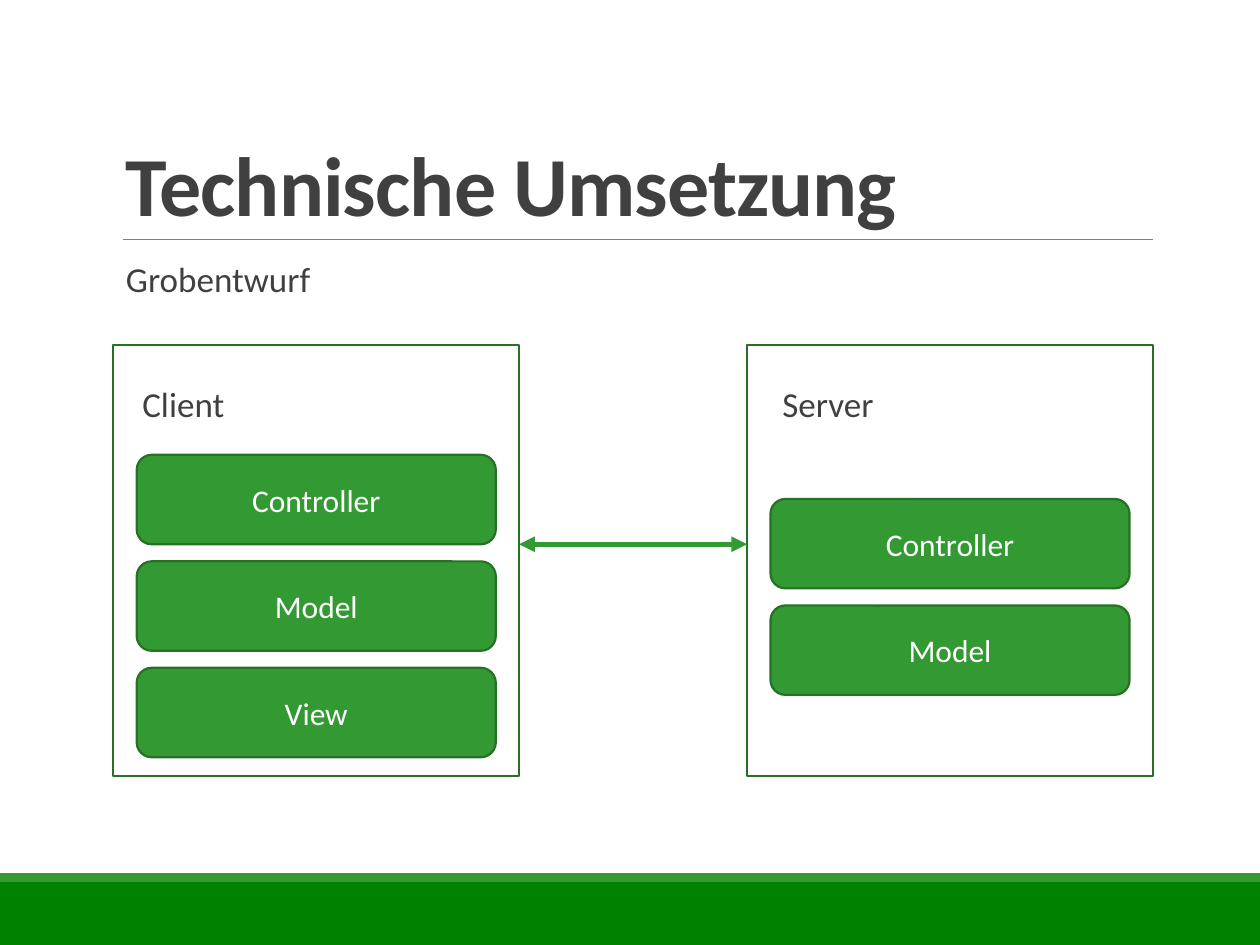
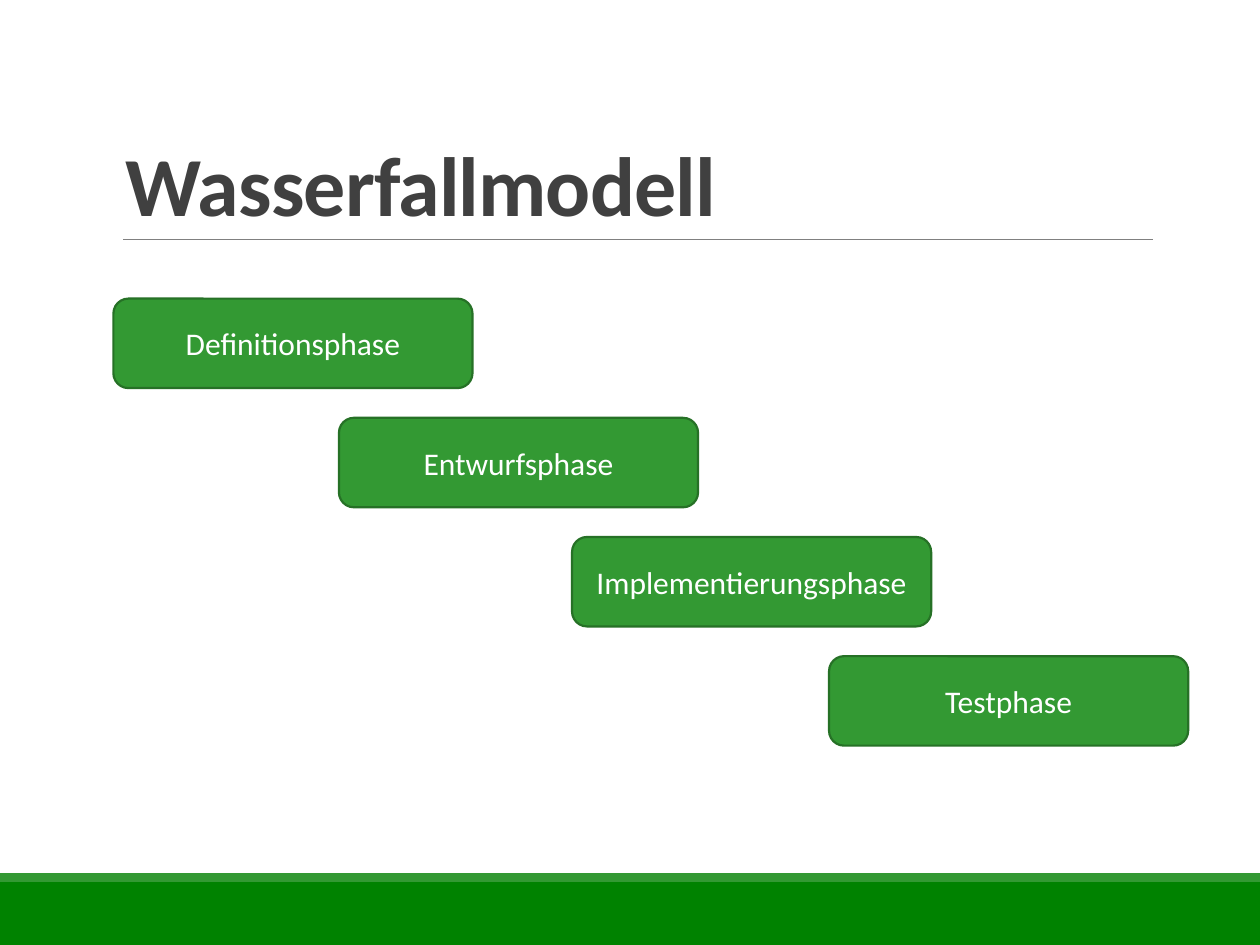
from lxml.etree import SubElement
from pptx import Presentation
from pptx.dml.color import RGBColor
from pptx.enum.shapes import MSO_CONNECTOR, MSO_SHAPE
from pptx.enum.text import MSO_ANCHOR, PP_ALIGN
from pptx.oxml.ns import qn
from pptx.util import Inches, Pt

WIDE, HIGH = Inches(10), Inches(7.5)
COL, ROW = WIDE / 100, HIGH / 75
FONT = "Calibri"
GREEN, DEEP, EDGE = "339933", "008200", "267126"
DARK, GRAY, WHITE = "404040", "808080", "FFFFFF"
LEFT, RIGHT, RULE = 9, 91.5, 19
CARD_W, CARD_H = 28.5, 7.1
BOX_W, BOX_H, BOX_TOP = 32.2, 34.2, 27.4


def color(code):
    return RGBColor.from_string(code)


def place(left, top, wide, high):
    return round(left * COL), round(top * ROW), round(wide * COL), round(high * ROW)


def style(para, size, code, bold=False):
    for run in para.runs:
        font = run.font
        font.name, font.size, font.bold = FONT, Pt(size), bold
        font.color.rgb = color(code)


def add_box(slide, kind, area, fill=None, edge=None):
    box = slide.shapes.add_shape(kind, *place(*area))
    box.shadow.inherit = False
    if fill:
        box.fill.solid()
        box.fill.fore_color.rgb = color(fill)
    else:
        box.fill.background()
    if edge:
        box.line.color.rgb = color(edge)
        box.line.width = Pt(1.25)
    else:
        box.line.fill.background()
    return box


def add_card(slide, left, top, text):
    area = left, top, CARD_W, CARD_H
    card = add_box(slide, MSO_SHAPE.ROUNDED_RECTANGLE, area, GREEN, EDGE)
    frame = card.text_frame
    frame.text = text
    frame.vertical_anchor = MSO_ANCHOR.MIDDLE
    para = frame.paragraphs[0]
    para.alignment = PP_ALIGN.CENTER
    style(para, 18, WHITE)


def add_line(slide, start, end, code, width, heads=False):
    ends = place(*start, *end)
    line = slide.shapes.add_connector(MSO_CONNECTOR.STRAIGHT, *ends)
    line.line.color.rgb = color(code)
    line.line.width = Pt(width)
    if heads:
        stroke = line.line._get_or_add_ln()
        for tag in ("a:headEnd", "a:tailEnd"):
            SubElement(stroke, qn(tag), type="triangle")
    SubElement(line._element.spPr, qn("a:effectLst"))


def add_text(slide, area, text, size, anchor, bold=False):
    box = slide.shapes.add_textbox(*place(*area))
    frame = box.text_frame
    frame.word_wrap = True
    frame.vertical_anchor = anchor
    frame.text = text
    style(frame.paragraphs[0], size, DARK, bold)
    return frame


def add_label(slide, left, mid, text):
    frame = add_text(slide, (left, mid - 2, 25, 4), text, 20, MSO_ANCHOR.MIDDLE)
    frame.margin_left = frame.margin_right = 0


def add_page(deck, title):
    slide = deck.slides.add_slide(deck.slide_layouts[6])
    add_box(slide, MSO_SHAPE.RECTANGLE, (0, 70, 100, 5), DEEP)
    add_box(slide, MSO_SHAPE.RECTANGLE, (0, 69.3, 100, 0.7), GREEN)
    add_line(slide, (9.8, RULE), (RIGHT, RULE), GRAY, 0.5)
    area = LEFT, 3.1, RIGHT - LEFT, RULE - 3.1
    frame = add_text(slide, area, title, 48, MSO_ANCHOR.BOTTOM, True)
    para = frame.paragraphs[0]
    para.line_spacing = 0.85
    para.runs[0].font._element.set("spc", "-50")
    return slide


def add_side(slide, left, name, indent, top, parts):
    add_label(slide, left + indent, 32, name)
    for step, part in enumerate(parts):
        add_card(slide, left + (BOX_W - CARD_W) / 2, top + step * 8.45, part)
    add_box(slide, MSO_SHAPE.RECTANGLE, (left, BOX_TOP, BOX_W, BOX_H), edge=EDGE)


def add_design(deck):
    slide = add_page(deck, "Technische Umsetzung")
    add_label(slide, LEFT + 1, 22.1, "Grobentwurf")
    far = RIGHT - BOX_W
    add_side(slide, LEFT, "Client", 2.3, 36.1, ["Controller", "Model", "View"])
    add_side(slide, far, "Server", 2.8, 39.6, ["Controller", "Model"])
    add_line(slide, (LEFT + BOX_W, 43.2), (far, 43.2), GREEN, 3, True)


def add_phases(deck):
    slide = add_page(deck, "Wasserfallmodell")
    phases = [
        (LEFT, "Definitionsphase"),
        (26.9, "Entwurfsphase"),
        (45.4, "Implementierungsphase"),
        (65.8, "Testphase"),
    ]
    for step, (left, name) in enumerate(phases):
        add_card(slide, left, 23.7 + step * 9.46, name)


def main():
    deck = Presentation()
    deck.slide_width, deck.slide_height = WIDE, HIGH
    add_design(deck)
    add_phases(deck)
    deck.save("out.pptx")


if __name__ == "__main__":
    main()
